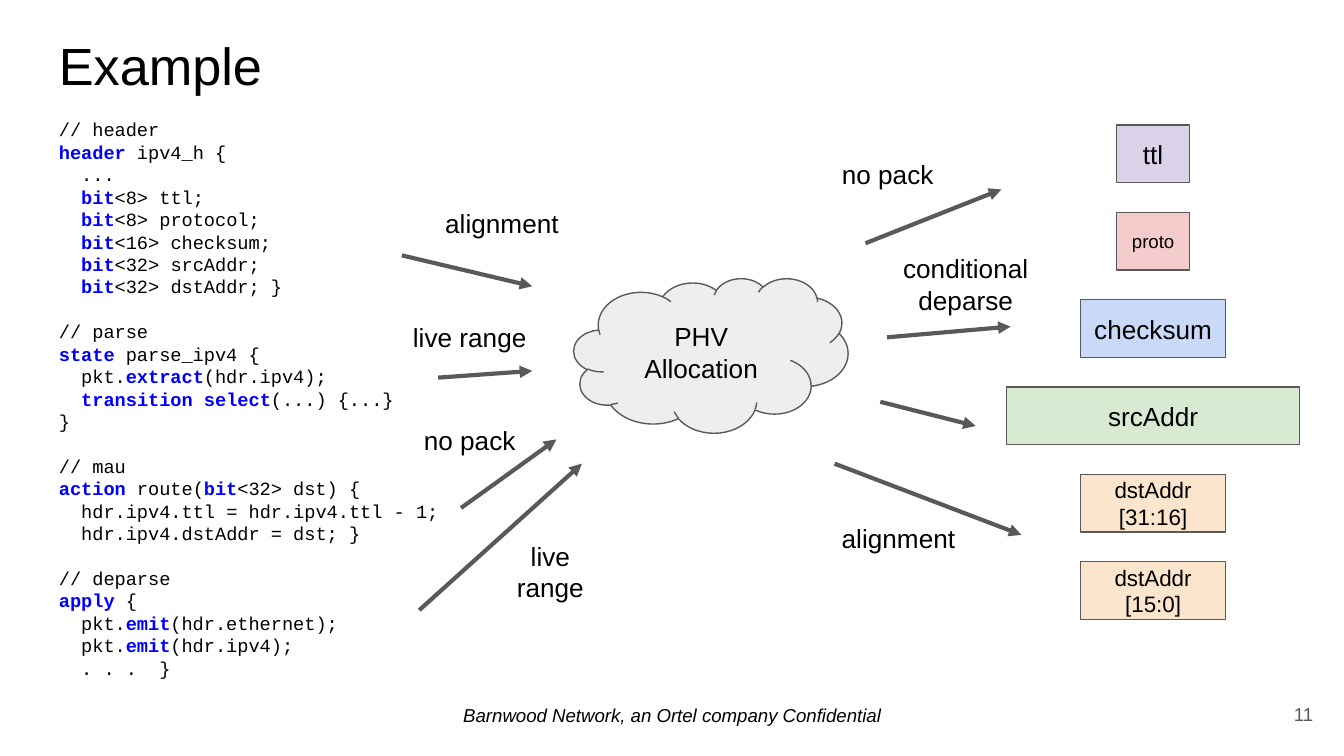
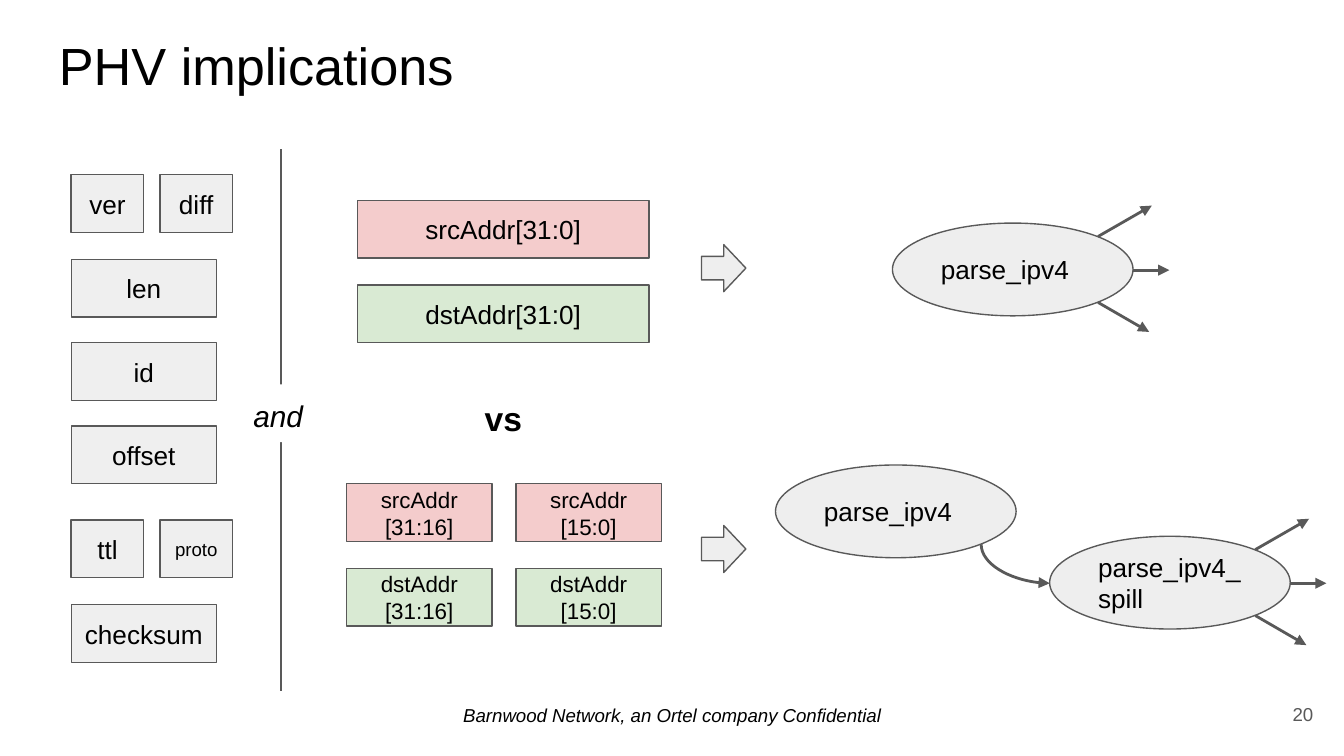
from lxml import etree
from pptx import Presentation
from pptx.dml.color import RGBColor
from pptx.enum.shapes import MSO_CONNECTOR, MSO_SHAPE
from pptx.enum.text import MSO_ANCHOR, PP_ALIGN
from pptx.oxml.ns import qn
from pptx.util import Pt

PX = 9144  # EMU per px, 100 px to the inch
LEFT, CENTER, RIGHT = PP_ALIGN.LEFT, PP_ALIGN.CENTER, PP_ALIGN.RIGHT
TOP, MIDDLE = MSO_ANCHOR.TOP, MSO_ANCHOR.MIDDLE
RECTANGLE, ELLIPSE, CLOUD = MSO_SHAPE.RECTANGLE, MSO_SHAPE.OVAL, MSO_SHAPE.CLOUD
BLOCK_ARROW = MSO_SHAPE.RIGHT_ARROW
STRAIGHT, CURVE = MSO_CONNECTOR.STRAIGHT, MSO_CONNECTOR.CURVE

COLORS = {
    "text": "000000", "keyword": "0000FF", "line": "595959", "white": "FFFFFF",
    "gray": "EEEEEE", "cell": "EFEFEF", "purple": "D9D2E9", "red": "F4CCCC",
    "blue": "C9DAF8", "green": "D9EAD3", "orange": "FCE5CD",
}
TITLE_FRAME = (34, 15, 932, 63)
FOOTER_FRAME = (0, 515, 1000, 32)
NUMBER_FRAME = (927, 510, 60, 43)
FOOTER = "Barnwood Network, an Ortel company Confidential"
BOX_HEIGHT = 43
SMALL, WIDE, FULL = 54, 108, 218  # widths of 8, 16 and 32 bit containers


def add_item(slide, frame, text="", size=14, kind=None, fill=None, outline=True,
             align=CENTER, anchor=None, color="text", font="Arial",
             bold=False, italic=False, section_gap=0):
    """Add a text box or a filled shape; text between bars is a keyword."""
    left, top, width, height = [value * PX for value in frame]
    if kind is None:
        shape = slide.shapes.add_textbox(left, top, width, height)
    else:
        shape = slide.shapes.add_shape(kind, left, top, width, height)
        shape.shadow.inherit = False
        shape.fill.solid()
        shape.fill.fore_color.rgb = RGBColor.from_string(COLORS[fill])
        if outline:
            shape.line.color.rgb = RGBColor.from_string(COLORS["line"])
            shape.line.width = Pt(0.75)
        else:
            shape.line.fill.background()
    if not text:
        return
    text_frame = shape.text_frame
    text_frame.word_wrap = True
    text_frame.vertical_anchor = anchor or (MIDDLE if kind else TOP)
    text_frame.margin_left = text_frame.margin_right = 10 * PX
    text_frame.margin_top = text_frame.margin_bottom = 10 * PX
    paragraph = None
    for section in text.split("\n\n"):
        for index, line in enumerate(section.split("\n")):
            is_first = paragraph is None
            paragraph = text_frame.paragraphs[0] if is_first else text_frame.add_paragraph()
            paragraph.alignment = align
            if index == 0 and not is_first:
                paragraph.space_before = Pt(section_gap)
            for part, content in enumerate(line.split("|")):
                if not content:
                    continue
                is_keyword = part % 2 == 1
                run = paragraph.add_run()
                run.text = content
                run.font.name = font
                run.font.size = Pt(size)
                run.font.bold = bold or is_keyword
                run.font.italic = italic
                run.font.color.rgb = RGBColor.from_string(
                    COLORS["keyword" if is_keyword else color])


def add_line(slide, ends, width, kind=STRAIGHT, head=True):
    """Add a connector, by default with an arrowhead at its end."""
    connector = slide.shapes.add_connector(kind, *[value * PX for value in ends])
    connector.line.color.rgb = RGBColor.from_string(COLORS["line"])
    connector.line.width = Pt(width)
    if head:
        line_element = connector._element.spPr.find(qn("a:ln"))
        etree.SubElement(line_element, qn("a:tailEnd"), type="triangle")
    etree.SubElement(connector._element.spPr, qn("a:effectLst"))
    return connector


presentation = Presentation()
presentation.slide_width = 1000 * PX
presentation.slide_height = presentation.slide_width * 9 // 16

# Title, footer and number of every slide
slides = []
for title, number in (("Example", "11"), ("PHV implications", "20")):
    slide = presentation.slides.add_slide(presentation.slide_layouts[6])
    add_item(slide, FOOTER_FRAME, FOOTER, 10, italic=True)
    add_item(slide, TITLE_FRAME, title, 28, align=LEFT)
    add_item(slide, NUMBER_FRAME, number, 10, align=RIGHT, anchor=MIDDLE, color="line")
    slides.append(slide)
example, implications = slides

# Example: program code
CODE = """// header
|header| ipv4_h {
  ...
  |bit|<8> ttl;
  |bit|<8> protocol;
  |bit|<16> checksum;
  |bit|<32> srcAddr;
  |bit|<32> dstAddr; }

// parse
|state| parse_ipv4 {
  pkt.|extract|(hdr.ipv4);
  |transition select|(...) {...}
}

// mau
|action| route(|bit|<32> dst) {
  hdr.ipv4.ttl = hdr.ipv4.ttl - 1;
  hdr.ipv4.dstAddr = dst; }

// deparse
|apply| {
  pkt.|emit|(hdr.ethernet);
  pkt.|emit|(hdr.ipv4);
  . . .  }"""
add_item(example, (34, 78, 316, 446), CODE, 10, align=LEFT, font="Courier New", section_gap=12)

# Example: allocation cloud with its arrows in and out
add_item(example, (427, 207, 204, 115), "PHV\nAllocation", kind=CLOUD, fill="gray")
for ends in (
    (326, 281, 396, 276), (343, 378, 414, 327), (312, 454, 433, 345), (299, 190, 396, 213),
    (644, 181, 745, 141), (621, 345, 760, 398), (660, 251, 752, 243), (655, 299, 726, 317),
):
    add_line(example, ends, 2.25)

# Example: constraint labels
for left, top, height, label in (
    (314, 144, 43, "alignment"), (290, 229, 43, "live range"),
    (350, 392, 75, "live\nrange"), (290, 306, 43, "no pack"),
    (601, 108, 43, "no pack"), (609, 379, 43, "alignment"),
    (659, 178, 55, "conditional\ndeparse"),
):
    add_item(example, (left, top, 119, height), label)

# Example: column of containers, centred on one axis
for row, (label, width, size, fill) in enumerate((
    ("ttl", SMALL, 14, "purple"), ("proto", SMALL, 10, "red"),
    ("checksum", WIDE, 14, "blue"), ("srcAddr", FULL, 14, "green"),
    ("dstAddr\n[31:16]", WIDE, 12, "orange"), ("dstAddr\n[15:0]", WIDE, 12, "orange"),
)):
    add_item(example, (858 - width // 2, 93 + row * 65, width, BOX_HEIGHT),
             label, size, RECTANGLE, fill)

# Implications: fields that share the packet with the addresses
for left, top, width, label, size in (
    (53, 130, SMALL, "ver", 14), (119, 130, SMALL, "diff", 14),
    (53, 193, WIDE, "len", 14), (53, 255, WIDE, "id", 14), (53, 317, WIDE, "offset", 14),
    (53, 387, SMALL, "ttl", 14), (119, 387, SMALL, "proto", 10),
    (53, 450, WIDE, "checksum", 14),
):
    add_item(implications, (left, top, width, BOX_HEIGHT), label, size, RECTANGLE, "cell")

# Implications: divider and joining words
add_line(implications, (209, 111, 209, 514), 0.75, head=False)
add_item(implications, (173, 286, 68, BOX_HEIGHT), "and", 16, RECTANGLE, "white",
         outline=False, anchor=TOP, italic=True)
add_item(implications, (327, 286, 95, BOX_HEIGHT), "vs", 18, bold=True)

# Implications: whole and split addresses
for row, (name, fill) in enumerate((("srcAddr", "red"), ("dstAddr", "green"))):
    offset = row * 63
    add_item(implications, (266, 149 + offset, 217, BOX_HEIGHT), f"{name}[31:0]", 14,
             RECTANGLE, fill)
    for left, bits in ((258, "[31:16]"), (384, "[15:0]")):
        add_item(implications, (left, 360 + offset, WIDE, BOX_HEIGHT), f"{name} {bits}", 12,
                 RECTANGLE, fill)
for top in (182, 391):
    add_item(implications, (522, top, 33, 35), kind=BLOCK_ARROW, fill="gray")

# Implications: parser states
for left, top, state in (
    (664, 166, "parse_ipv4"), (577, 346, "parse_ipv4"), (781, 399, "parse_ipv4_spill"),
):
    add_item(implications, (left, top, 179, 69), state, kind=ELLIPSE, fill="gray", align=LEFT)

# Implications: three exits from each final state
for left, top in ((664, 166), (781, 399)):
    for start_x, start_y, end_x, end_y in (
        (153, 10, 193, -13), (179, 35, 206, 35), (153, 59, 191, 81),
    ):
        add_line(implications, (left + start_x, top + start_y, left + end_x, top + end_y), 1.5)

# Implications: quarter curve to the spill state, turned to leave downwards
curve = add_line(implications, (770, 394, 741, 445), 1.5, CURVE)
curve._element.spPr.find(qn("a:prstGeom")).set("prst", "curvedConnector2")
curve._element.spPr.find(qn("a:xfrm")).set("rot", str(270 * 60000))

presentation.save("out.pptx")
